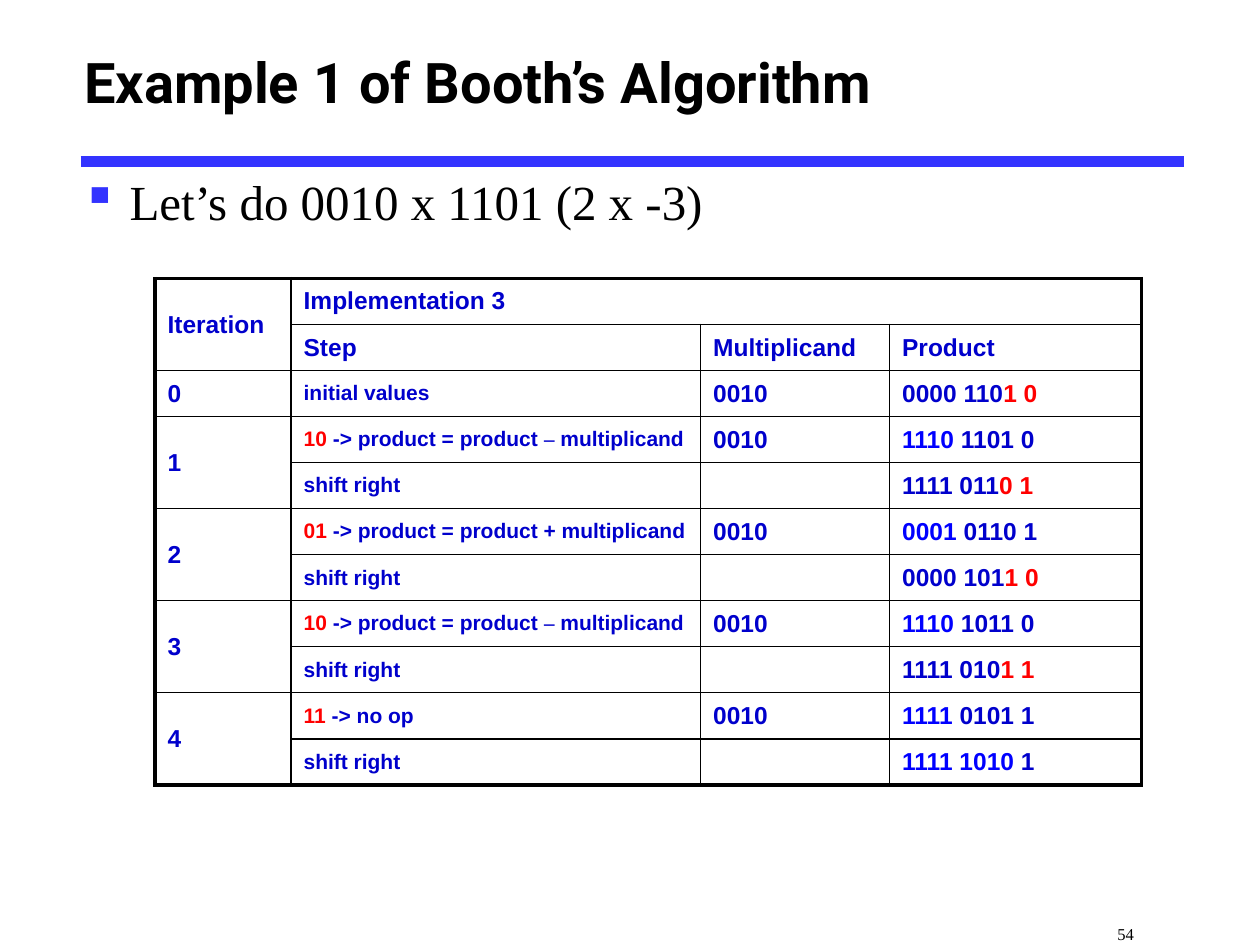
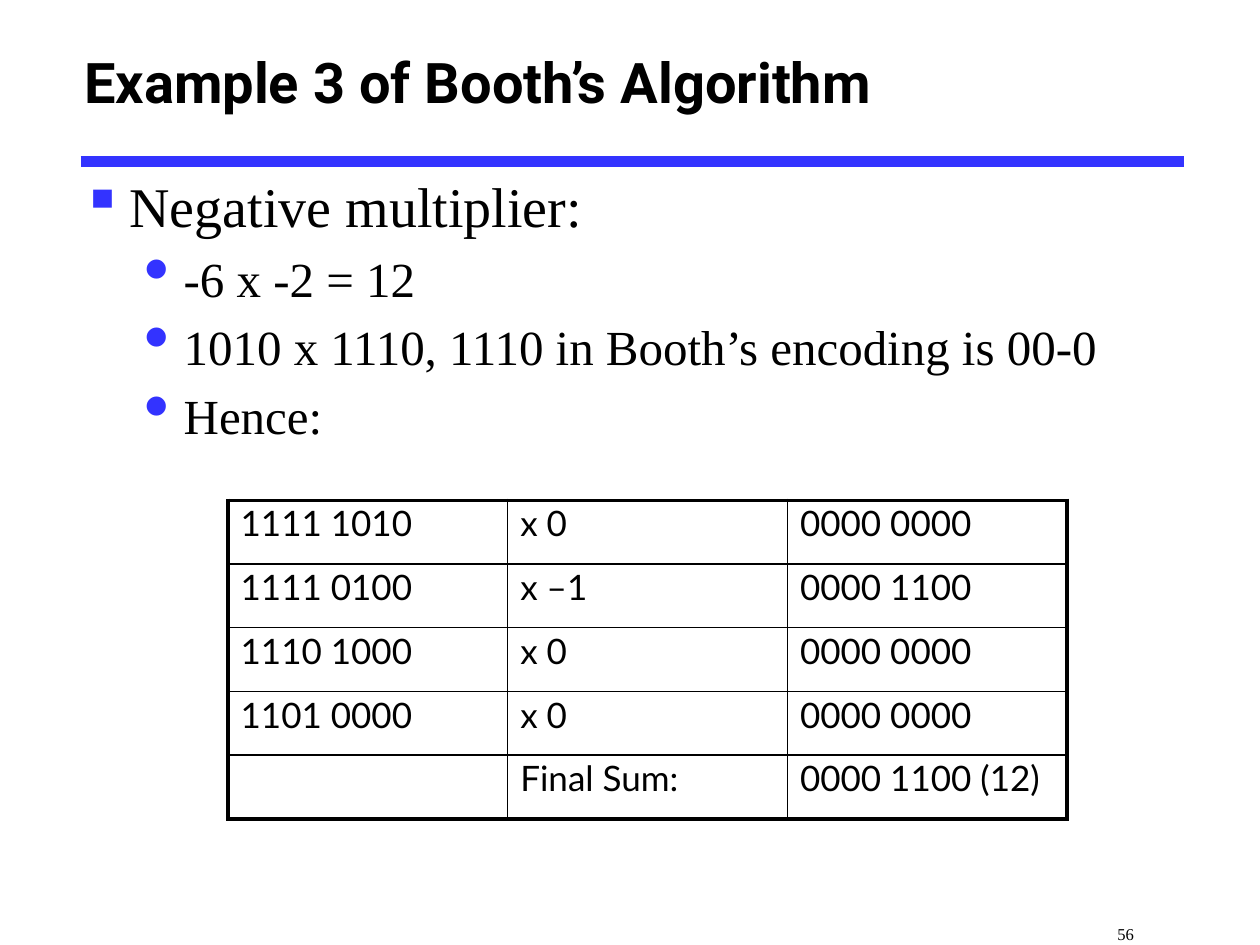
"""Two slides of worked examples for Booth's multiplication algorithm."""
from lxml import etree
from pptx import Presentation
from pptx import util as u
from pptx.dml.color import RGBColor
from pptx.enum import shapes, text
from pptx.oxml import ns

COLOURS = {"accent": "3333FF", "ink": "000000", "step": "0000CC",
           "bright": "0000FF", "red": "FF0000"}
TITLE_FONT, BODY_FONT = "Roboto", "Times New Roman"
BORDER_THICK, BORDER_THIN = 2.25, 1
SPACE_BEFORE = 20

BULLETS = [
    {"mark": "▪", "left": 0.38, "hang": 0.38, "scale": 100},
    {"mark": "•", "left": 0.81, "hang": 0.31, "scale": 150},
]


def lead(code, rest):
    return [(code, "red"), (f" -> {rest}", "step")]


def checked(bits, pair):
    return [(bits, "step"), (pair, "red")]


def changed(high, rest):
    return [(high, "bright"), (rest, "step")]


SUBTRACT = lead("10", "product = product ") + [("–", "step"), (" multiplicand", "step")]
ADD = lead("01", "product = product + multiplicand")

SLIDES = [
    {
        "title": "Example 1 of Booth’s Algorithm",
        "number": "54",
        "points": [(0, "Let’s do 0010 x 1101 (2 x -3)", 28)],
        "table": {
            "at": (1.23, 2.21), "columns": (1.08, 3.25, 1.5, 2), "height": 4.02,
            "font": "Arial", "size": 14, "colour": "step", "bold": True,
            "anchor": text.MSO_ANCHOR.MIDDLE, "line_spacing": None,
            "small": {"column": 1, "from_row": 2, "size": 12},
            "merges": [(0, 0, 1, 0), (0, 1, 0, 3)]
                      + [(row, 0, row + 1, 0) for row in range(3, 11, 2)],
            "rows": [
                ("Iteration", "Implementation 3", "", ""),
                ("", "Step", "Multiplicand", "Product"),
                ("0", "initial values", "0010", checked("0000 110", "1 0")),
                ("1", SUBTRACT, "0010", changed("1110", " 1101 0")),
                ("", "shift right", "", checked("1111 011", "0 1")),
                ("2", ADD, "0010", changed("0001", " 0110 1")),
                ("", "shift right", "", checked("0000 101", "1 0")),
                ("3", SUBTRACT, "0010", changed("1110", " 1011 0")),
                ("", "shift right", "", checked("1111 010", "1 1")),
                ("4", lead("11", "no op"), "0010", changed("1111", " 0101 1")),
                ("", "shift right", "", changed("1111 1010", " 1")),
            ],
        },
    },
    {
        "title": "Example 3 of Booth’s Algorithm",
        "number": "56",
        "points": [
            (0, "Negative multiplier:", 32),
            (1, "-6 x -2 = 12", 28),
            (1, "1010 x 1110, 1110 in Booth’s encoding is 00-0", 28),
            (1, "Hence:", 28),
        ],
        "table": {
            "at": (1.81, 3.97), "columns": (2.22, 2.22, 2.22), "height": 2.53,
            "font": "Lato", "size": 20, "colour": "ink", "bold": False,
            "anchor": text.MSO_ANCHOR.TOP, "line_spacing": 0.9,
            "small": None, "merges": [],
            "rows": [
                ("1111 1010", "x 0", "0000 0000"),
                ("1111 0100", "x –1", "0000 1100"),
                ("1110 1000", "x 0", "0000 0000"),
                ("1101 0000", "x 0", "0000 0000"),
                ("", "Final Sum:", "0000 1100 (12)"),
            ],
        },
    },
]


def rgb(name):
    return RGBColor.from_string(COLOURS[name])


def node(parent, tag, **attributes):
    child = etree.SubElement(parent, ns.qn(f"a:{tag}"))
    for key, value in attributes.items():
        child.set(key, str(value))
    return child


def style(run, font, size, colour="ink", bold=False):
    run.font.name, run.font.size, run.font.bold = font, u.Pt(size), bold
    run.font.color.rgb = rgb(colour)


def space_before(paragraph):
    spacing = node(paragraph._p.get_or_add_pPr(), "spcBef")
    node(spacing, "spcPct", val=SPACE_BEFORE * 1000)


def add_text(slide, left, top, width, height, anchor):
    frame = slide.shapes.add_textbox(*map(u.Inches, (left, top, width, height))).text_frame
    frame.word_wrap = True
    frame.vertical_anchor = anchor
    return frame


def add_frame(slide, title, number):
    rule = slide.shapes.add_connector(
        shapes.MSO_CONNECTOR.STRAIGHT, *map(u.Inches, (0.64, 1.28, 9.4, 1.28)))
    rule.line.color.rgb, rule.line.width = rgb("accent"), u.Pt(6)
    node(rule._element.spPr, "effectLst")

    heading = add_text(slide, 0.57, 0.08, 8.5, 1.12, text.MSO_ANCHOR.MIDDLE)
    heading.text = title
    style(heading.paragraphs[0].runs[0], TITLE_FONT, 32, bold=True)

    page = add_text(slide, 7.9, 7.12, 2.1, 0.38, text.MSO_ANCHOR.BOTTOM)
    page.margin_right, page.margin_bottom = u.Inches(1), u.Inches(0.01)
    page.text = number
    page.paragraphs[0].alignment = text.PP_ALIGN.RIGHT
    style(page.paragraphs[0].runs[0], BODY_FONT, 9.5)


def add_points(slide, points):
    body = add_text(slide, 0.55, 1.31, 9.2, 6.12, text.MSO_ANCHOR.TOP)
    body.text = "\n".join(words for _, words, _ in points)
    for paragraph, (level, _, size) in zip(body.paragraphs, points):
        bullet = BULLETS[level]
        paragraph.level = level
        style(paragraph.runs[0], BODY_FONT, size)
        space_before(paragraph)
        properties = paragraph._p.get_or_add_pPr()
        properties.set("marL", str(u.Inches(bullet["left"])))
        properties.set("indent", str(-u.Inches(bullet["hang"])))
        node(node(properties, "buClr"), "srgbClr", val=COLOURS["accent"])
        node(properties, "buSzPct", val=bullet["scale"] * 1000)
        node(properties, "buChar", char=bullet["mark"])


def set_borders(cell, outer_sides):
    properties = cell._tc.get_or_add_tcPr()
    for place, (side, outer) in enumerate(zip("LRTB", outer_sides)):
        width = BORDER_THICK if outer else BORDER_THIN
        line = node(properties, f"ln{side}", w=u.Pt(width))
        node(node(line, "solidFill"), "srgbClr", val=COLOURS["ink"])
        properties.insert(place, line)


def fill_cell(cell, content, size, look):
    cell.fill.background()
    cell.vertical_anchor = look["anchor"]
    paragraph = cell.text_frame.paragraphs[0]
    if look["line_spacing"]:
        paragraph.line_spacing = look["line_spacing"]
    space_before(paragraph)
    pieces = [(content, look["colour"])] if isinstance(content, str) else content
    for words, colour in pieces:
        if words:
            run = paragraph.add_run()
            run.text = words
            style(run, BODY_FONT if words == "–" else look["font"], size, colour, look["bold"])
    node(paragraph._p, "endParaRPr", sz=size * 100)


def add_grid(slide, look):
    rows, columns = look["rows"], look["columns"]
    area = (*look["at"], sum(columns), look["height"])
    grid = slide.shapes.add_table(len(rows), len(columns), *map(u.Inches, area)).table
    grid.first_row = grid.horz_banding = False
    for column, width in zip(grid.columns, columns):
        column.width = u.Inches(width)
    for top, left, bottom, right in look["merges"]:
        grid.cell(top, left).merge(grid.cell(bottom, right))
    small = look["small"]
    for r, row in enumerate(rows):
        for c, content in enumerate(row):
            cell = grid.cell(r, c)
            is_small = small and c == small["column"] and r >= small["from_row"]
            fill_cell(cell, content, small["size"] if is_small else look["size"], look)
            down, across = (cell.span_height, cell.span_width) if cell.is_merge_origin else (1, 1)
            set_borders(cell, (c == 0, c + across == len(columns),
                               r == 0, r + down == len(rows)))


def main():
    deck = Presentation()
    deck.slide_width, deck.slide_height = u.Inches(10), u.Inches(7.5)
    for content in SLIDES:
        slide = deck.slides.add_slide(deck.slide_layouts[6])
        add_frame(slide, content["title"], content["number"])
        add_points(slide, content["points"])
        add_grid(slide, content["table"])
    deck.save("out.pptx")


if __name__ == "__main__":
    main()
